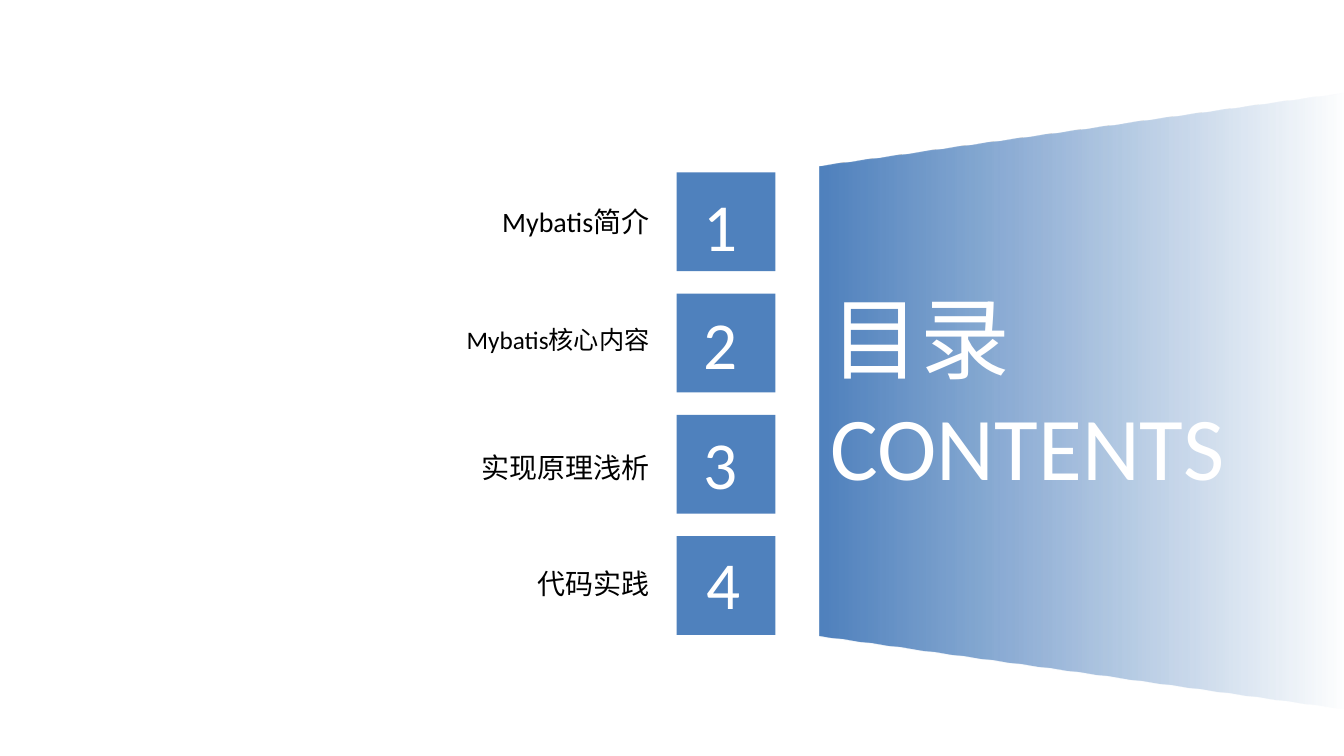
import pptx
import pptx.dml.color
import pptx.enum.shapes
import pptx.enum.text
import pptx.oxml.ns
import pptx.util
from lxml import etree

RGBColor = pptx.dml.color.RGBColor
SHAPE = pptx.enum.shapes.MSO_SHAPE
ALIGN = pptx.enum.text.PP_ALIGN
ANCHOR = pptx.enum.text.MSO_ANCHOR

BLUE = RGBColor(0x4F, 0x81, 0xBD)
WHITE = RGBColor(0xFF, 0xFF, 0xFF)
BLACK = RGBColor(0x00, 0x00, 0x00)

# Places are percentages of the slide's width and height.
SQUARE_TOP, ROW_PITCH = 22.8, 16.04
# number, label, label size, label top, number left, number top
CHAPTERS = [
    ("1", "Mybatis简介", 20, 23.2, 51.6, 23.73),
    ("2", "Mybatis核心内容", 18, 38.8, 51.6, 39.33),
    ("3", "实现原理浅析", 20, 55.73, 51.6, 55.2),
    ("4", "代码实践", 20, 71.07, 51.83, 71.07),
]


def write(tf, text, size=20, color=BLACK, align=ALIGN.LEFT,
          anchor=ANCHOR.TOP, wrap=True, font="Calibri"):
    """Fill a text frame, one paragraph for each line of text."""
    tf.word_wrap = wrap
    tf.auto_size = pptx.enum.text.MSO_AUTO_SIZE.NONE
    tf.vertical_anchor = anchor
    for i, line in enumerate(text.split("\n")):
        p = tf.add_paragraph() if i else tf.paragraphs[0]
        p.alignment = align
        r = p.add_run()
        r.text = line
        r.font.name = font
        r.font.size = pptx.util.Pt(size)
        r.font.color.rgb = color


class ContentsSlide:
    """The current slide and the style of its elements."""

    def __init__(self, prs):
        """Add a title-only slide."""
        self.prs = prs
        self.slide = prs.slides.add_slide(prs.slide_layouts[5])

    def box(self, x, y, w, h):
        """Turn percentages of the slide into lengths."""
        width, height = self.prs.slide_width, self.prs.slide_height
        return [pptx.util.Emu(round(share * side / 100)) for share, side
                in ((x, width), (y, height), (w, width), (h, height))]

    def shape(self, kind, *place):
        """Add a plain blue shape without outline."""
        sp = self.slide.shapes.add_shape(kind, *self.box(*place))
        sp.shadow.inherit = False
        sp.line.fill.background()
        sp.fill.solid()
        sp.fill.fore_color.rgb = BLUE
        return sp

    def fading_panel(self, *place):
        """Add a trapezoid on its side that fades out to the right."""
        sp = self.shape(SHAPE.TRAPEZOID, *place)
        sp.adjustments[0] = 0.14
        sp.rotation = 270
        sp.fill.gradient()
        sp.fill.gradient_angle = 270
        qn = pptx.oxml.ns.qn
        stops = next(sp.element.spPr.iter(qn("a:gsLst")))
        for stop in list(stops):
            stops.remove(stop)
        for position, opacity in ((0, 100), (50, 50), (100, 0)):
            stop = etree.SubElement(stops, qn("a:gs"), pos=str(position * 1000))
            clr = etree.SubElement(stop, qn("a:srgbClr"), val=str(BLUE))
            etree.SubElement(clr, qn("a:alpha"), val=str(opacity * 1000))

    def text(self, text, *place, **style):
        """Add a text box."""
        sp = self.slide.shapes.add_textbox(*self.box(*place))
        write(sp.text_frame, text, **style)

    def title(self, text, *place, **style):
        """Place and fill the title, in front of the other elements."""
        sp = self.slide.shapes.title
        sp.left, sp.top, sp.width, sp.height = self.box(*place)
        write(sp.text_frame, text, **style)
        self.slide.shapes.element.append(sp.element)


def main():
    """Build the contents slide."""
    prs = pptx.Presentation()
    prs.slide_width = pptx.util.Inches(13.33)
    prs.slide_height = pptx.util.Inches(7.5)
    s = ContentsSlide(prs)
    s.fading_panel(57.6, 18.27, 45.83, 69.33)
    for i, (number, label, size, label_y, num_x, num_y) in enumerate(CHAPTERS):
        s.shape(SHAPE.RECTANGLE, 50.34, SQUARE_TOP + i * ROW_PITCH, 7.35, 13.07)
        s.text(number, num_x, num_y, 4.28, 12.13, size=48, color=WHITE)
        s.text(label, 7.88, label_y, 41.18, 12.13, size=size,
               align=ALIGN.RIGHT, anchor=ANCHOR.MIDDLE)
    s.title("目录\nCONTENTS", 61.05, 36.8, 38.18, 30,
            size=64, color=WHITE, wrap=False)
    prs.save("out.pptx")


main()
